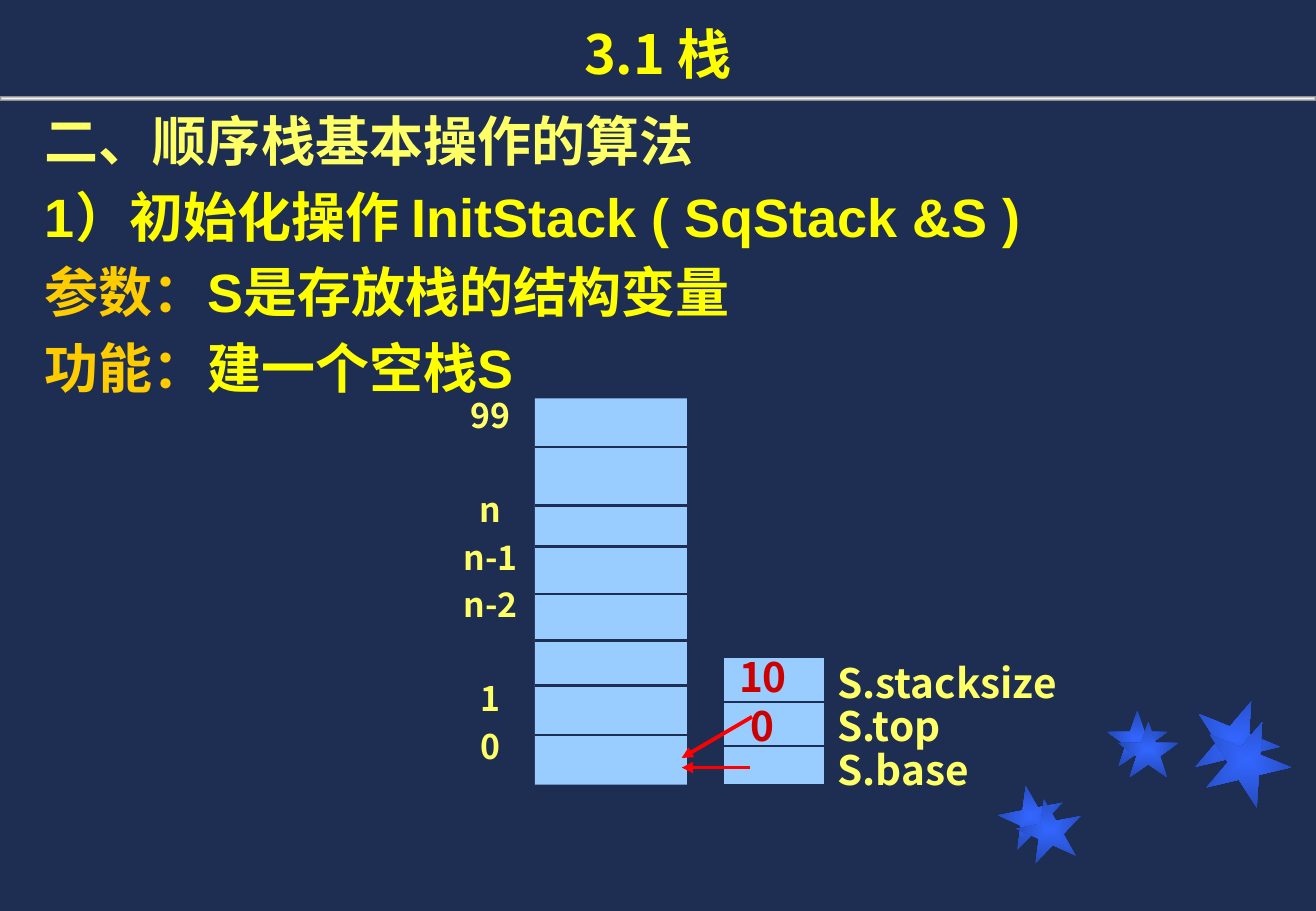
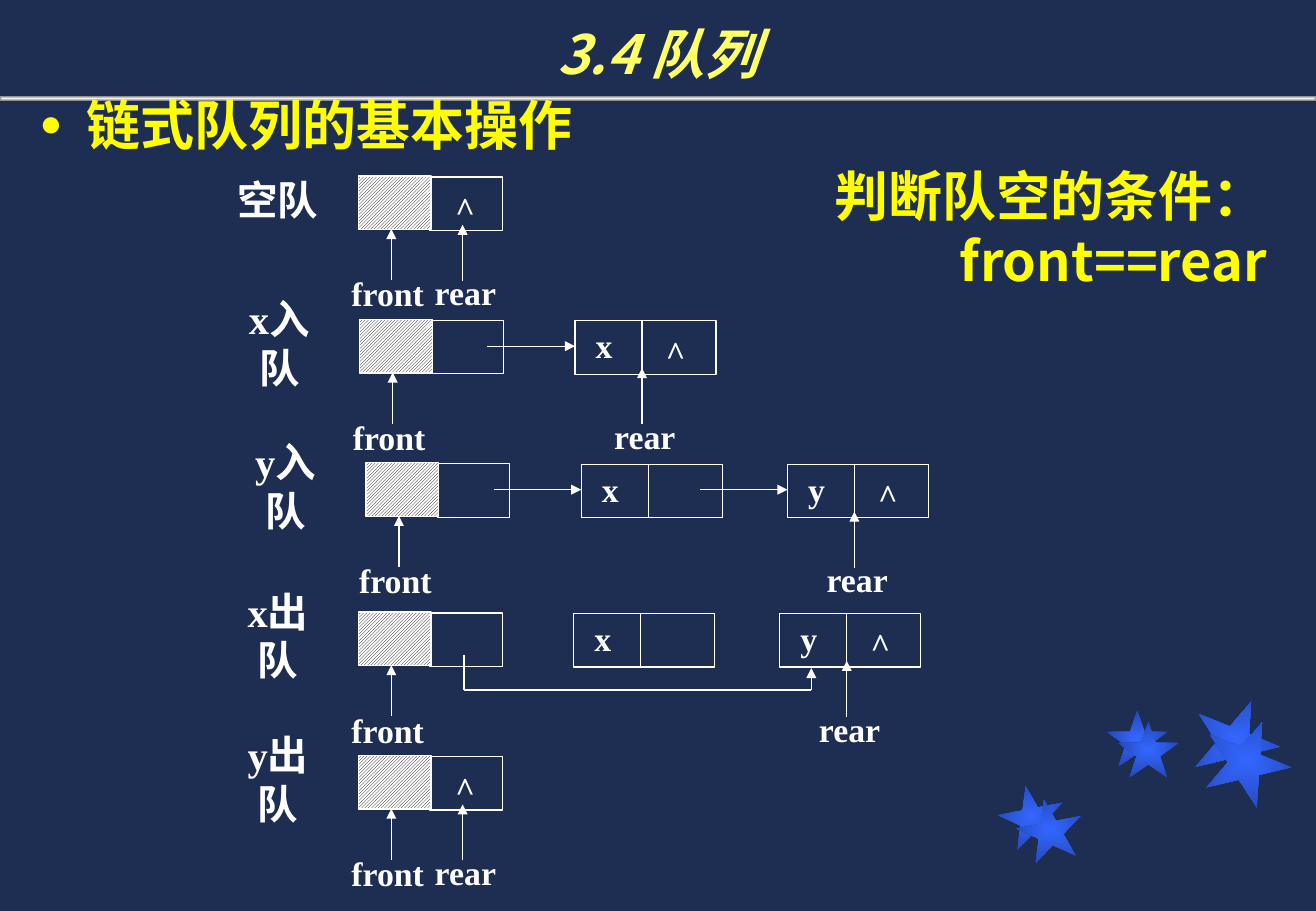
import pptx
import pptx.util
import pptx.dml.color
import pptx.enum.dml
import pptx.enum.shapes
import pptx.enum.text
import pptx.oxml
import pptx.oxml.ns

Cm, Pt = pptx.util.Cm, pptx.util.Pt
Shape = pptx.enum.shapes.MSO_SHAPE
Align = pptx.enum.text.PP_ALIGN
Anchor = pptx.enum.text.MSO_ANCHOR
qn = pptx.oxml.ns.qn

HUES = {
    "navy": "1E2E53", "yellow": "FFFF00", "pale": "FFFF66", "gold": "FFCC00",
    "sky": "99CCFF", "red": "FF0000", "dark": "CC0000", "white": "FFFFFF",
    "black": "000000", "blue": "3366FF", "deep": "2449B6",
    "light": "F2F2F2", "gray": "808080",
}
SANS, ARIAL, SERIF = "Noto Sans CJK SC", "Arial", "Times New Roman"
WIDE, HIGH = 27.51, 19.05
STARS = [  # left, top, width, height, turn
    (20.88, 16.43, 1.37, 1.27, 349), (23.14, 14.86, 1.27, 1.17, 0),
    (24.92, 14.61, 1.83, 1.7, 22), (21.26, 16.71, 1.37, 1.27, 349),
    (23.37, 15.09, 1.27, 1.17, 0), (25.15, 15.04, 1.83, 1.7, 22),
]


def rgb(hue):
    return pptx.dml.color.RGBColor.from_string(HUES[hue])


def node(tag, **attrs):
    """Build one element of the drawing namespace."""
    item = pptx.oxml.parse_xml(f"<a:{tag} {pptx.oxml.ns.nsdecls('a')}/>")
    for key, value in attrs.items():
        item.set(key, str(value))
    return item


class Deck:
    def __init__(self):
        self.prs = pptx.Presentation()
        self.prs.slide_width, self.prs.slide_height = Cm(WIDE), Cm(HIGH)
        self.slide = None

    def page(self, title, hue, slant=False):
        """Start a slide with its backdrop, stars, rule and title."""
        self.slide = self.prs.slides.add_slide(self.prs.slide_layouts[6])
        back = self.slide.background.fill
        back.solid()
        back.fore_color.rgb = rgb("navy")
        for *box, turn in STARS:
            star = self.shape(box, kind=Shape.STAR_5_POINT)
            star.rotation = turn
            self.glow(star, "blue", "deep")
        self.glow(self.shape((0, 2.01, WIDE, 0.1)), "light", "gray")
        self.text((0, 0, WIDE, 1.9), [title], 32, hue, align=Align.CENTER,
                  anchor=Anchor.BOTTOM, slant=slant)

    def shape(self, box, fill=None, line=None, width=0.75,
              kind=Shape.RECTANGLE):
        item = self.slide.shapes.add_shape(kind, *map(Cm, box))
        item.shadow.inherit = False
        if fill:
            item.fill.solid()
            item.fill.fore_color.rgb = rgb(fill)
        else:
            item.fill.background()
        if line:
            item.line.color.rgb = rgb(line)
            item.line.width = Pt(width)
        else:
            item.line.fill.background()
        return item

    def glow(self, item, inner, outer):
        """Fill from the centre outwards."""
        item.fill.gradient()
        for stop, hue, place in zip(item.fill.gradient_stops,
                                    (inner, outer), (0, 1)):
            stop.color.rgb = rgb(hue)
            stop.position = place
        grad = item._element.spPr.find(qn("a:gradFill"))
        for lin in grad.findall(qn("a:lin")):
            grad.remove(lin)
        way = node("path", path="shape")
        way.append(node("fillToRect", l=50000, t=50000, r=50000, b=50000))
        grad.append(way)

    def hatch(self, box):
        fill = self.shape(box, line="white").fill
        fill.patterned()
        fill.pattern = pptx.enum.dml.MSO_PATTERN.LIGHT_UPWARD_DIAGONAL
        fill.fore_color.rgb = rgb("black")
        fill.back_color.rgb = rgb("white")

    def line(self, start, end, hue="white", width=0.75, arrow=False):
        item = self.slide.shapes.add_connector(
            pptx.enum.shapes.MSO_CONNECTOR.STRAIGHT,
            *map(Cm, (*start, *end)))
        item.line.color.rgb = rgb(hue)
        item.line.width = Pt(width)
        props = item._element.spPr
        if arrow:
            props.find(qn("a:ln")).append(node("tailEnd", type="triangle"))
        props.append(node("effectLst"))

    def text(self, box, paras, size, hue, font=SANS, align=Align.LEFT,
             anchor=Anchor.TOP, slant=False, wrap=True, gap=0, pitch=None):
        """A paragraph is a string or a list of (text, hue) runs."""
        frame = self.slide.shapes.add_textbox(*map(Cm, box)).text_frame
        frame.word_wrap = wrap
        frame.vertical_anchor = anchor
        for i, para in enumerate(paras):
            parts = [(para, hue)] if isinstance(para, str) else para
            p = frame.add_paragraph() if i else frame.paragraphs[0]
            p.text = parts[0][0]
            for words, _ in parts[1:]:
                p.add_run().text = words
            p.alignment = align
            if i and gap:
                p.space_before = Pt(gap)
            if pitch:
                p.line_spacing = pitch
            for run, (_, tint) in zip(p.runs, parts):
                face = run.font
                face.size, face.bold, face.italic = Pt(size), True, slant
                face.name = font
                face.color.rgb = rgb(tint)
                run._r.get_or_add_rPr().append(node("ea", typeface=SANS))
        return frame.paragraphs

    def bullet(self, p, hue):
        props = p._p.get_or_add_pPr()
        props.set("marL", str(Cm(0.97)))
        props.set("indent", str(-Cm(0.97)))
        tint = node("buClr")
        tint.append(node("srgbClr", val=HUES[hue]))
        props.extend([tint, node("buSzPct", val=70000),
                      node("buFont", typeface=ARIAL),
                      node("buChar", char="●")])

    def label(self, box, words, size=20, wrap=False):
        self.text(box, [words], size, "white", SERIF, Align.CENTER,
                  Anchor.MIDDLE, wrap=wrap)

    def cells(self, box, cuts, edge=None):
        """A block split by level lines."""
        left, _, width, _ = box
        self.shape(box, "sky", edge, 2.25)
        for y in cuts:
            self.line((left, y), (left + width, y), "navy", 1.5)

    def queue(self, name, x, y, nodes, linked=True):
        """One queue state: head node, list nodes and both pointers."""
        tall, text = 1.12, 1.09
        self.label((x - 2.93, y - 0.15, 2.5, 1.27), name, 24, wrap=True)
        self.shape((x + 1.49, y + 0.02, 1.52, tall), line="white")
        self.hatch((x, y, 1.52, tall))
        self.label((x - 0.4, y + 1.91, 2.03, text), "front")
        self.line((x + 0.69, y + 2.18), (x + 0.69, y + 1.11), arrow=True)
        rear, mark = x + 2.18, x + 1.78
        for i, item in enumerate(nodes):
            left, top = x + 4.5 + 4.31 * i, y + 0.03
            rear, mark = left + 1.4, left + 1.65
            self.shape((left, top, 2.95, tall), line="white")
            self.line((rear, top), (rear, top + tall))
            self.label((left + 0.18, y, 0.86, text), item)
            if linked:
                self.line((left - 1.83, y + 0.56), (left, y + 0.56),
                          arrow=True)
        self.label((mark, y + 0.13, 0.91, text), "^")
        self.line((rear, y + 2.19), (rear, y + 1.02), arrow=True)
        self.label((rear - 0.84, y + 1.89, 1.8, text), "rear")


def stack(deck):
    deck.page("3.1 栈", "yellow")
    deck.text((0.69, 2.13, 26.11, 6.4), [
        [("二、顺序栈基本操作的算法", "pale")],
        "1）初始化操作 InitStack ( SqStack &S )",
        [("参数：", "gold"), ("S是存放栈的结构变量", "yellow")],
        [("功能：", "gold"), ("建一个空栈S", "yellow")],
    ], 32, "yellow", ARIAL, gap=6.4)

    # Record with size, top and base
    deck.text((17.25, 13.74, 5.51, 3), ["S.stacksize", "S.top", "S.base"],
              24, "pale", pitch=0.9)
    deck.cells((15.09, 13.72, 2.18, 2.72), (14.68, 15.6), "navy")
    deck.text((15.01, 13.51, 1.88, 1.27), ["100"], 24, "dark",
              align=Align.CENTER)

    # Stack cells with their indexes
    marks = deck.text((8.76, 8.13, 3, 8.2),
                      ["99", "n", "n-1", "n-2", "1", "0"], 20, "pale",
                      align=Align.CENTER, gap=4)
    for i in (1, 4):
        marks[i].space_before = Pt(32)
    deck.cells((11.18, 8.33, 3.18, 8.08),
               (9.35, 10.57, 11.43, 12.42, 13.39, 14.33, 15.37))

    # Pointers into the stack
    for start, end in (((15.67, 16.05), (14.25, 16.05)),
                       ((15.72, 14.99), (14.25, 15.85))):
        deck.line(start, end, "red", 2.25, arrow=True)


def queues(deck):
    deck.page("3.4 队列", "pale", slant=True)
    head = deck.text((0.58, 1.78, 24.13, 1.55), ["链式队列的基本操作"],
                     32, "yellow", ARIAL)
    deck.bullet(head[0], "yellow")

    # Queue states
    deck.queue("空队", 7.49, 3.68, "")
    deck.queue("x入队", 7.52, 6.68, "x")
    deck.queue("y入队", 7.65, 9.68, "xy")
    deck.queue("x出队", 7.49, 12.8, "xy", linked=False)
    deck.queue("y出队", 7.49, 15.8, "")

    # Link that skips the removed node
    deck.line((9.7, 13.69), (9.7, 14.43))
    deck.line((9.7, 14.43), (16.96, 14.43))
    deck.line((16.96, 14.43), (16.96, 13.97), arrow=True)

    deck.text((16.71, 3.28, 10.03, 2.97), ["判断队空的条件：front==rear"],
              32, "yellow", align=Align.RIGHT)


def main():
    deck = Deck()
    stack(deck)
    queues(deck)
    deck.prs.save("out.pptx")


if __name__ == "__main__":
    main()
